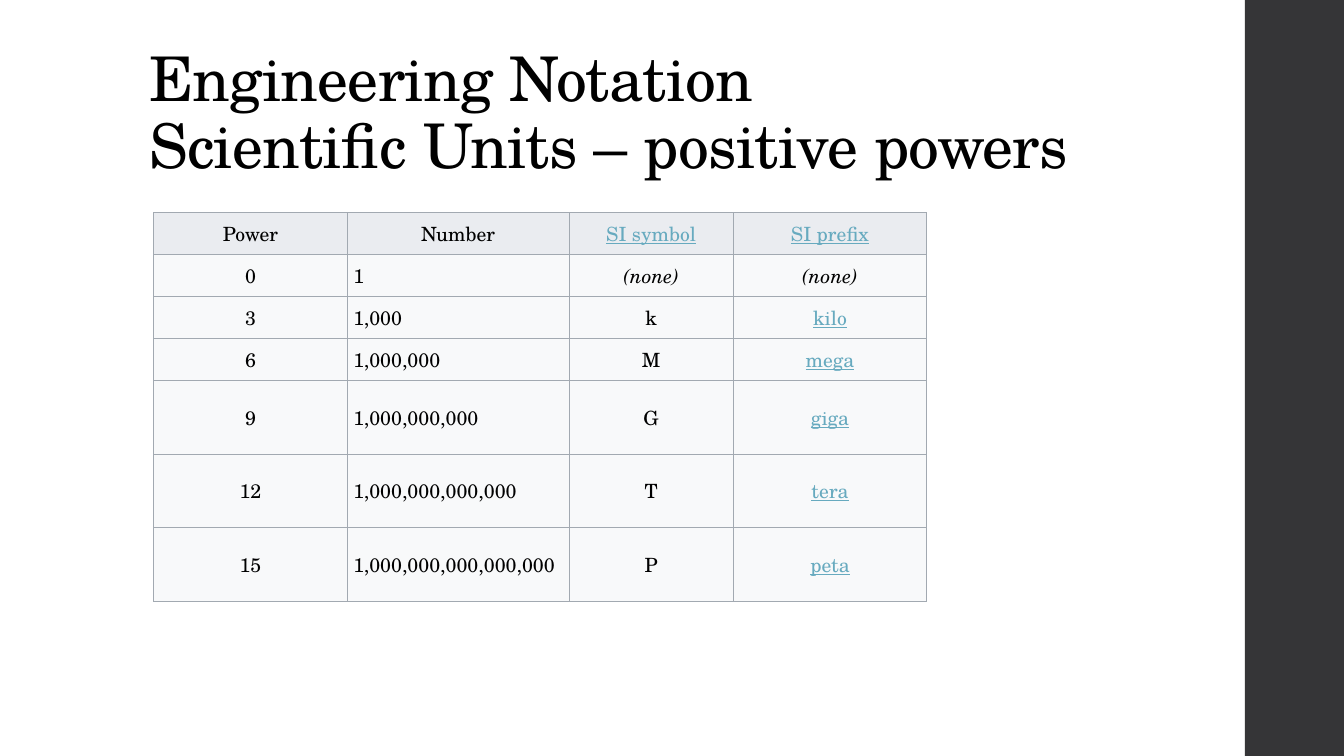
from lxml.etree import SubElement
from pptx import Presentation
from pptx.dml.color import RGBColor
from pptx.enum.shapes import MSO_SHAPE
from pptx.enum.text import MSO_ANCHOR, PP_ALIGN
from pptx.oxml.ns import qn
from pptx.util import Inches, Pt

HUES = {
    "text": "000000",
    "link": "67AABF",
    "band": "353537",
    "head": "EAECF0",
    "body": "F8F9FA",
    "edge": "A2A9B1",
}
FONT = "TeX Gyre Schola"
COLS, ROWS = 160, 90
TITLE = ["Engineering Notation ", "Scientific Units – positive powers"]
HEADS = ["Power", "Number", "SI symbol", "SI prefix"]
UNITS = [("(none)", "(none)"), ("k", "kilo"), ("M", "mega"),
         ("G", "giga"), ("T", "tera"), ("P", "peta")]
WIDTHS = [23.04, 26.4, 19.56, 23.04]
HEIGHTS = [5] * 4 + [8.76] * 3


class Deck:
    """Holds the style and the current slide, measured in grid columns and rows."""

    def __init__(self):
        self.deck = Presentation()
        self.deck.slide_width = Inches(13.33)
        self.deck.slide_height = Inches(7.5)
        self.slide = self.deck.slides.add_slide(self.deck.slide_layouts[6])

    def across(self, cols):
        return round(self.deck.slide_width * cols / COLS)

    def down(self, rows):
        return round(self.deck.slide_height * rows / ROWS)

    def place(self, left, top, width, height):
        return (self.across(left), self.down(top),
                self.across(width), self.down(height))

    def tint(self, name):
        return RGBColor.from_string(HUES[name])

    def run(self, para, text, size, hue="text", slant=False):
        run = para.add_run()
        run.text = text
        font = run.font
        font.name, font.size = FONT, Pt(size)
        font.color.rgb = self.tint(hue)
        font.underline = hue == "link"
        font.italic = slant
        return run

    def band(self, *area):
        shape = self.slide.shapes.add_shape(MSO_SHAPE.RECTANGLE, *self.place(*area))
        shape.shadow.inherit = False
        shape.fill.solid()
        shape.fill.fore_color.rgb = self.tint("band")
        shape.line.fill.background()

    def title(self, lines, *area):
        frame = self.slide.shapes.add_textbox(*self.place(*area)).text_frame
        frame.word_wrap = True
        frame.vertical_anchor = MSO_ANCHOR.BOTTOM
        para = frame.paragraphs[0]
        para.line_spacing = 0.9
        for row, line in enumerate(lines):
            if row:
                para.add_line_break()
            run = self.run(para, line, 44)
            run.font._element.set("spc", "-50")

    def edge(self, cell):
        props = cell._tc.get_or_add_tcPr()
        for side in ("a:lnL", "a:lnR", "a:lnT", "a:lnB"):
            line = SubElement(props, qn(side), w=str(Pt(0.75)))
            fill = SubElement(line, qn("a:solidFill"))
            SubElement(fill, qn("a:srgbClr"), val=HUES["edge"])

    def cell(self, cell, text, fill, hue, align):
        self.edge(cell)
        cell.fill.solid()
        cell.fill.fore_color.rgb = self.tint(fill)
        cell.vertical_anchor = MSO_ANCHOR.MIDDLE
        cell.margin_left = cell.margin_right = Inches(0.06)
        cell.margin_top = cell.margin_bottom = Inches(0.03)
        para = cell.text_frame.paragraphs[0]
        para.alignment = align
        self.run(para, text, 14, hue, text == "(none)")

    def table(self, data, left, top):
        area = self.place(left, top, sum(WIDTHS), sum(HEIGHTS))
        table = self.slide.shapes.add_table(len(data), len(WIDTHS), *area).table
        table.first_row = table.horz_banding = False
        for col, width in zip(table.columns, WIDTHS):
            col.width = self.across(width)
        for row, height in zip(table.rows, HEIGHTS):
            row.height = self.down(height)
        for r, line in enumerate(data):
            for c, text in enumerate(line):
                linked = c >= 2 if r == 0 else c == 3 and r > 1
                self.cell(table.cell(r, c), text,
                          "body" if r else "head",
                          "link" if linked else "text",
                          PP_ALIGN.LEFT if r and c == 1 else PP_ALIGN.CENTER)


def main():
    deck = Deck()
    deck.band(148.2, 0, 11.8, ROWS)
    deck.title(TITLE, 16.56, 4.8, 127.2, 17.4)
    powers = [[str(3 * n), f"{1000 ** n:,}", *unit] for n, unit in enumerate(UNITS)]
    deck.table([HEADS] + powers, 18.3, 25.3)
    deck.deck.save("out.pptx")


if __name__ == "__main__":
    main()
